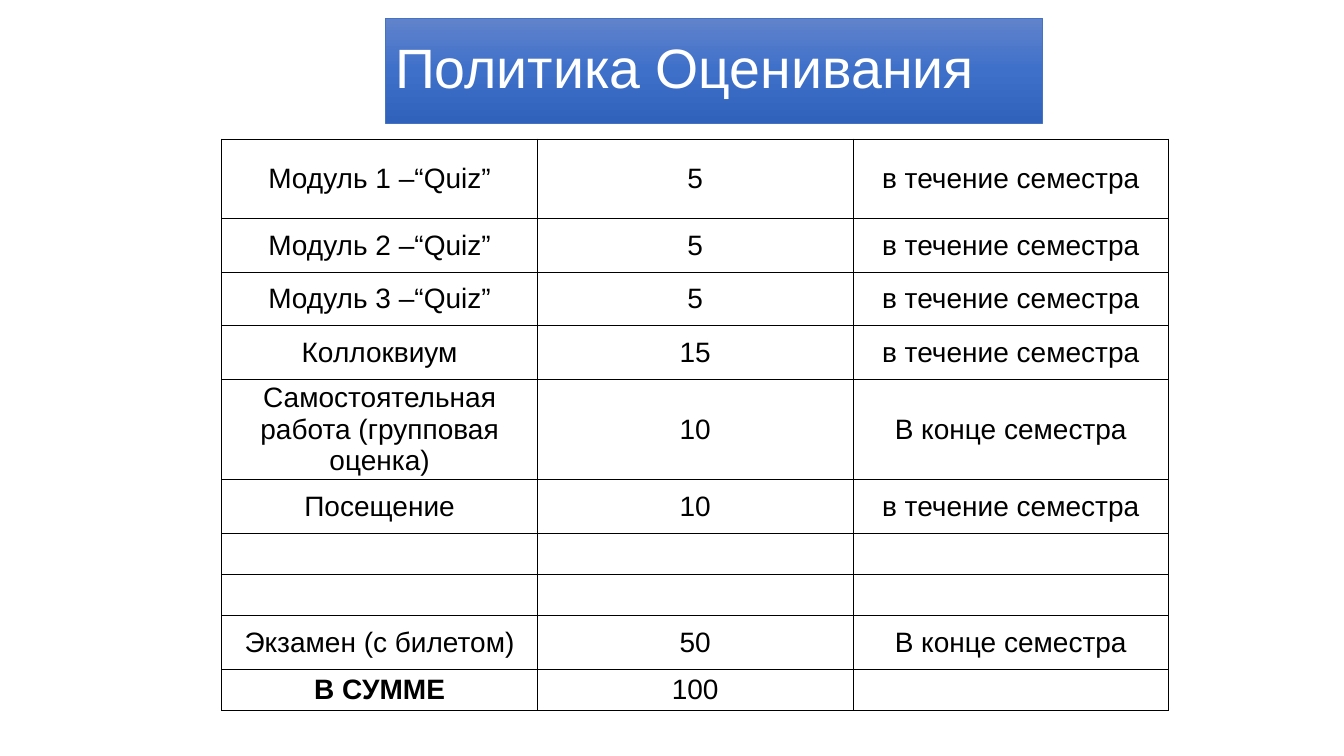
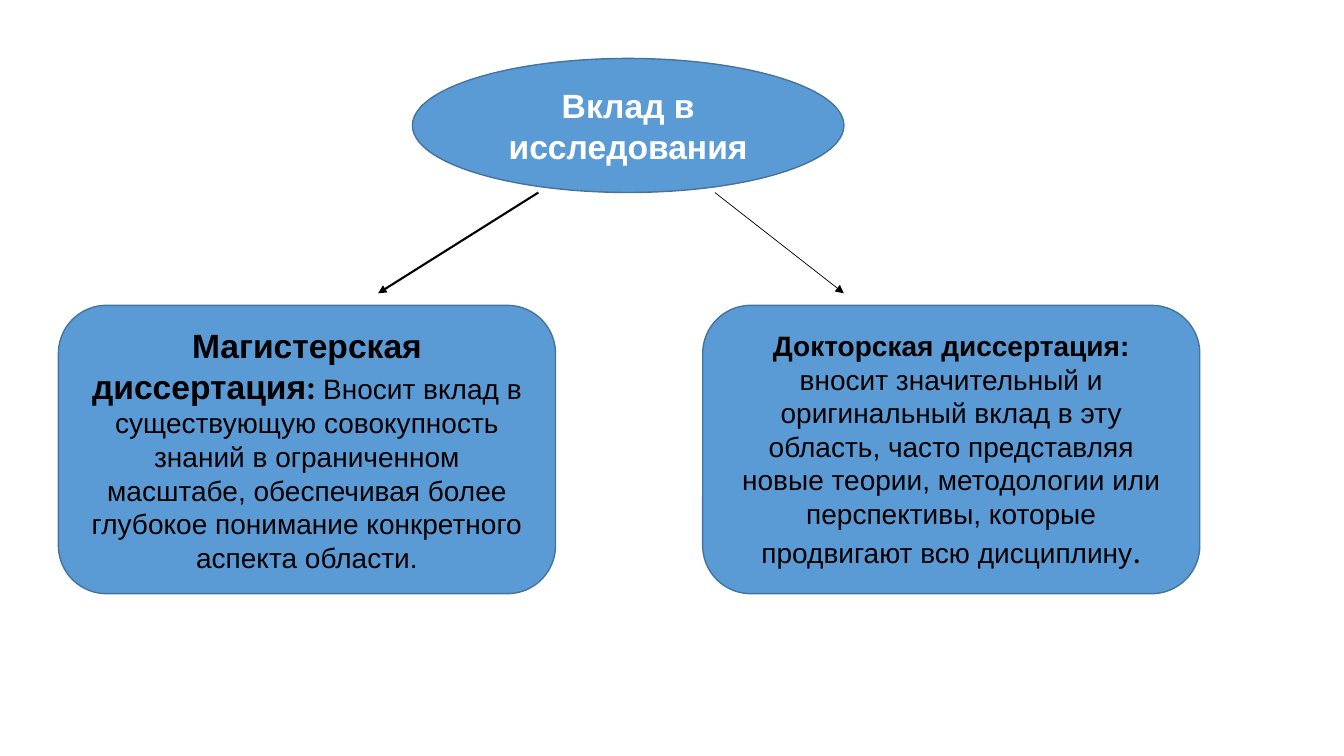
from copy import deepcopy
from typing import NamedTuple

from lxml import etree
from pptx import Presentation
from pptx.dml.color import RGBColor
from pptx.enum.shapes import MSO_CONNECTOR, MSO_SHAPE
from pptx.enum.text import MSO_ANCHOR, PP_ALIGN
from pptx.oxml.ns import qn
from pptx.util import Inches, Pt

CENTER, LEFT = PP_ALIGN.CENTER, PP_ALIGN.LEFT
MIDDLE = MSO_ANCHOR.MIDDLE
RECTANGLE, OVAL, ROUNDED = MSO_SHAPE.RECTANGLE, MSO_SHAPE.OVAL, MSO_SHAPE.ROUNDED_RECTANGLE
STRAIGHT = MSO_CONNECTOR.STRAIGHT

BLACK = RGBColor(0x00, 0x00, 0x00)
WHITE = RGBColor(0xFF, 0xFF, 0xFF)
NODE_FILL = RGBColor(0x5B, 0x9B, 0xD5)
NODE_LINE = RGBColor(0x43, 0x73, 0x9E)
TITLE_LINE = RGBColor(0x44, 0x72, 0xC4)
TITLE_GRADIENT = (
    RGBColor(0x61, 0x83, 0xCB),
    RGBColor(0x3E, 0x70, 0xCA),
    RGBColor(0x30, 0x62, 0xBB),
)
MAIN_FONT, ACCENT_FONT = "Arial", "Calibri"


class Piece(NamedTuple):
    text: str
    size: float = 20
    bold: bool = False
    font: str = MAIN_FONT


class Node(NamedTuple):
    outline: MSO_SHAPE
    left: float
    top: float
    width: float
    height: float
    color: RGBColor
    pieces: tuple[Piece, ...]


class Arrow(NamedTuple):
    start: tuple[float, float]
    end: tuple[float, float]
    weight: float


class GradeRow(NamedTuple):
    height: float
    activity: str = ""
    points: str = ""
    timing: str = ""


DURING, AT_END = "в течение семестра", "В конце семестра"
TALL, NORMAL, LOW = 0.79, 0.53, 0.41
GRADES = (
    GradeRow(TALL, "Модуль 1 –“Quiz”", "5", DURING),
    GradeRow(NORMAL, "Модуль 2 –“Quiz”", "5", DURING),
    GradeRow(NORMAL, "Модуль 3 –“Quiz”", "5", DURING),
    GradeRow(NORMAL, "Коллоквиум", "15", DURING),
    GradeRow(1, "Самостоятельная работа (групповая оценка)", "10", AT_END),
    GradeRow(NORMAL, "Посещение", "10", DURING),
    GradeRow(LOW),
    GradeRow(LOW),
    GradeRow(NORMAL, "Экзамен (с билетом)", "50", AT_END),
    GradeRow(LOW, "В СУММЕ", "100"),
)
TOTAL_LABEL = "В СУММЕ"

NODES = (
    Node(OVAL, 4.09, 0.58, 4.28, 1.33, WHITE, (Piece("Вклад в исследования", 24, True),)),
    Node(ROUNDED, 0.58, 3.03, 4.93, 2.86, BLACK, (
        Piece("Магистерская диссертация", 24, True),
        Piece(": ", 24, True, ACCENT_FONT),
        Piece("Вносит вклад в существующую совокупность знаний в ограниченном масштабе, "
              "обеспечивая более глубокое понимание конкретного аспекта области."),
    )),
    Node(ROUNDED, 6.97, 3.03, 4.93, 2.86, BLACK, (
        Piece("Докторская диссертация: ", 20, True),
        Piece("вносит значительный и оригинальный вклад в эту область, часто представляя "
              "новые теории, методологии или перспективы, которые продвигают всю дисциплину"),
        Piece(".", 24, False, ACCENT_FONT),
    )),
)
ARROWS = (
    Arrow((5.34, 1.91), (3.75, 2.91), 1.5),
    Arrow((7.09, 1.91), (8.37, 2.91), 0.5),
)


def style_font(font, size: float, color: RGBColor, bold: bool = False,
               name: str = MAIN_FONT) -> None:
    font.name, font.size, font.bold = name, Pt(size), bold
    font.color.rgb = color


def add_box(slide, outline, left: float, top: float, width: float, height: float,
            line_color: RGBColor, line_weight: float):
    box = slide.shapes.add_shape(
        outline, Inches(left), Inches(top), Inches(width), Inches(height))
    box.shadow.inherit = False
    box.line.color.rgb = line_color
    box.line.width = Pt(line_weight)
    box.text_frame.word_wrap = True
    box.text_frame.vertical_anchor = MIDDLE
    return box


def add_title(slide, text: str) -> None:
    band = add_box(slide, RECTANGLE, 3.82, 0.18, 6.52, 1.04, TITLE_LINE, 0.5)
    band.fill.gradient()
    band.fill.gradient_angle = 270
    # A new gradient has two stops; a third goes between them
    stop_list = band.fill.gradient_stops[0]._gs.getparent()
    stop_list.insert(1, deepcopy(stop_list[0]))
    for stop, position, color in zip(band.fill.gradient_stops, (0, 0.5, 1), TITLE_GRADIENT):
        stop.position = position
        stop.color.rgb = color
    heading = band.text_frame.paragraphs[0]
    heading.text = text
    heading.alignment = LEFT
    heading.line_spacing = 0.9
    style_font(heading.font, 39.6, WHITE)


def add_cell_borders(cell, color: RGBColor, weight: float) -> None:
    properties = cell._tc.get_or_add_tcPr()
    for index, side in enumerate(("a:lnL", "a:lnR", "a:lnT", "a:lnB")):
        border = etree.Element(qn(side), w=str(Pt(weight)))
        fill = etree.SubElement(border, qn("a:solidFill"))
        etree.SubElement(fill, qn("a:srgbClr"), val=str(color))
        properties.insert(index, border)


def add_grade_table(slide, grades: tuple[GradeRow, ...]) -> None:
    height = sum(grade.height for grade in grades)
    table = slide.shapes.add_table(
        len(grades), 3, Inches(2.2), Inches(1.38), Inches(9.39), Inches(height)).table
    table.first_row = table.horz_banding = False
    for row, grade in zip(table.rows, grades):
        row.height = Inches(grade.height)
        for cell, text in zip(row.cells, grade[1:]):
            cell.fill.background()
            add_cell_borders(cell, BLACK, 0.67)
            cell.vertical_anchor = MIDDLE
            cell.margin_left = cell.margin_right = Inches(0.03)
            cell.margin_top = cell.margin_bottom = Inches(0.03)
            entry = cell.text_frame.paragraphs[0]
            entry.text = text
            entry.alignment = CENTER
            style_font(entry.font, 20, BLACK, text == TOTAL_LABEL)


def add_node(slide, node: Node) -> None:
    box = add_box(slide, *node[:5], NODE_LINE, 1)
    box.fill.solid()
    box.fill.fore_color.rgb = NODE_FILL
    statement = box.text_frame.paragraphs[0]
    statement.alignment = CENTER
    for piece in node.pieces:
        run = statement.add_run()
        run.text = piece.text
        style_font(run.font, piece.size, node.color, piece.bold, piece.font)


def add_arrow(slide, arrow: Arrow) -> None:
    ends = [Inches(value) for value in arrow.start + arrow.end]
    link = slide.shapes.add_connector(STRAIGHT, *ends)
    link.line.color.rgb = BLACK
    link.line.width = Pt(arrow.weight)
    etree.SubElement(link.line._get_or_add_ln(), qn("a:tailEnd"), type="triangle")
    etree.SubElement(link._element.spPr, qn("a:effectLst"))


def main() -> None:
    deck = Presentation()
    deck.slide_width, deck.slide_height = Inches(13.33), Inches(7.5)
    blank = deck.slide_layouts[6]

    # Grading policy
    grading = deck.slides.add_slide(blank)
    add_grade_table(grading, GRADES)
    add_title(grading, "Политика Оценивания")

    # Contribution to research
    contribution = deck.slides.add_slide(blank)
    for node in NODES:
        add_node(contribution, node)
    for arrow in ARROWS:
        add_arrow(contribution, arrow)

    deck.save("out.pptx")


if __name__ == "__main__":
    main()
